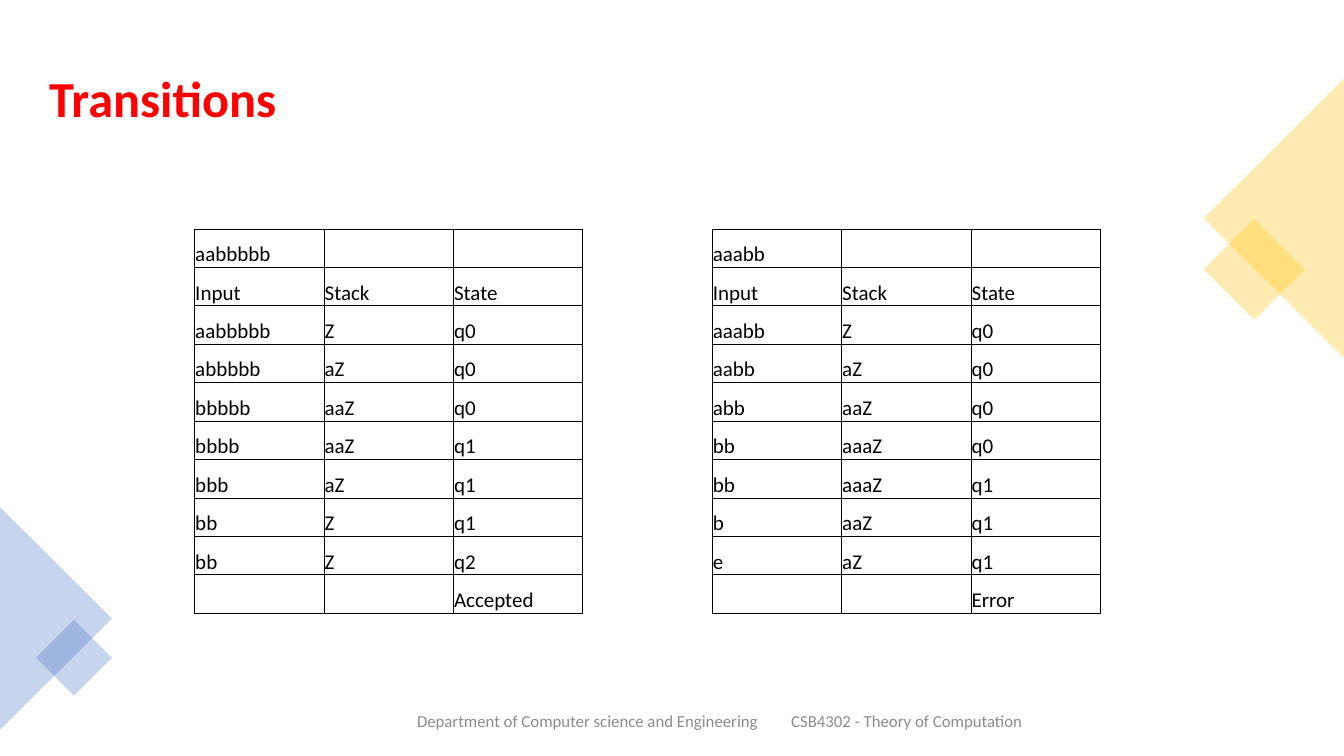
from dataclasses import dataclass

from lxml import etree
from pptx import Presentation
from pptx.dml.color import RGBColor
from pptx.enum.shapes import MSO_SHAPE
from pptx.enum.text import MSO_ANCHOR
from pptx.oxml.ns import qn
from pptx.util import Cm, Pt

RECT, TRIANGLE = MSO_SHAPE.RECTANGLE, MSO_SHAPE.ISOSCELES_TRIANGLE
MIDDLE, BOTTOM = MSO_ANCHOR.MIDDLE, MSO_ANCHOR.BOTTOM


@dataclass(frozen=True)
class Theme:
    """Fonts, sizes and colours of the slide."""
    font: str = "Calibri"
    title_size: int = 36
    cell_size: int = 15
    footer_size: int = 12
    title: str = "FF0000"
    text: str = "000000"
    footer: str = "8C8C8C"
    gold: str = "FFC000"
    blue: str = "4472C4"
    border_pt: float = 0.5
    opacity: int = 30


THEME = Theme()

ACCEPTED_RUN = [
    ("aabbbbb", "", ""), ("Input", "Stack", "State"),
    ("aabbbbb", "Z", "q0"), ("abbbbb", "aZ", "q0"), ("bbbbb", "aaZ", "q0"),
    ("bbbb", "aaZ", "q1"), ("bbb", "aZ", "q1"), ("bb", "Z", "q1"),
    ("bb", "Z", "q2"), ("", "", "Accepted"),
]
ERROR_RUN = [
    ("aaabb", "", ""), ("Input", "Stack", "State"),
    ("aaabb", "Z", "q0"), ("aabb", "aZ", "q0"), ("abb", "aaZ", "q0"),
    ("bb", "aaaZ", "q0"), ("bb", "aaaZ", "q1"), ("b", "aaZ", "q1"),
    ("e", "aZ", "q1"), ("", "", "Error"),
]


def set_attrs(obj, **values):
    """Set each named value on an object."""
    for name, value in values.items():
        setattr(obj, name, value)


def add_run(p, text, size, color, bold=False):
    """Add a formatted run to a paragraph."""
    r = p.add_run()
    r.text = text
    set_attrs(r.font, name=THEME.font, size=Pt(size), bold=bold)
    r.font.color.rgb = RGBColor.from_string(color)


def add_textbox(slide, box):
    """Add a wrapping, vertically centred text box and return its frame."""
    tf = slide.shapes.add_textbox(*map(Cm, box)).text_frame
    set_attrs(tf, word_wrap=True, vertical_anchor=MIDDLE)
    return tf


def add_title(slide, box, text):
    """Place the slide title in the box."""
    p = add_textbox(slide, box).paragraphs[0]
    p.line_spacing = 0.9
    add_run(p, text, THEME.title_size, THEME.title, bold=True)


def add_footer(slide, box, indent, tab, parts):
    """Place the footer parts in the box, separated by a tab stop."""
    tf = add_textbox(slide, box)
    tf.margin_left = Cm(indent)
    p = tf.paragraphs[0]
    p.space_after = Pt(6)
    tabs = etree.SubElement(p._p.get_or_add_pPr(), qn("a:tabLst"))
    etree.SubElement(tabs, qn("a:tab"), pos=str(Cm(tab)), algn="l")
    add_run(p, "\t".join(parts), THEME.footer_size, THEME.footer)


def add_tinted(slide, kind, box, rotation, color):
    """Add a rotated translucent shape without outline."""
    sp = slide.shapes.add_shape(kind, *map(Cm, box))
    sp.rotation = rotation
    sp.shadow.inherit = False
    sp.line.fill.background()
    sp.fill.solid()
    sp.fill.fore_color.rgb = RGBColor.from_string(color)
    clr = sp._element.spPr.find(qn("a:solidFill"))[0]
    etree.SubElement(clr, qn("a:alpha"), val=str(THEME.opacity * 1000))


def add_edge_triangle(slide, box, rotation, color):
    """Fill the box with a triangle turned towards the slide centre."""
    left, top, width, height = box
    shift = (width - height) / 2
    turned = (left + shift, top - shift, height, width)
    add_tinted(slide, TRIANGLE, turned, rotation, color)


def add_diamond(slide, box, dx, dy, size, color):
    """Add a diamond at an offset from the corner of the box."""
    add_tinted(slide, RECT, (box[0] + dx, box[1] + dy, size, size), 45, color)


def set_borders(cell, sides):
    """Draw the given sides of a cell and clear the others."""
    tcPr = cell._tc.get_or_add_tcPr()
    for i, side in enumerate("LRTB"):
        ln = etree.Element(qn(f"a:ln{side}"), w=str(Pt(THEME.border_pt)))
        if side in sides:
            fill = etree.SubElement(ln, qn("a:solidFill"))
            etree.SubElement(fill, qn("a:srgbClr"), val=THEME.text)
        else:
            etree.SubElement(ln, qn("a:noFill"))
        tcPr.insert(i, ln)


def add_transitions(slide, box, left_run, right_run):
    """Place both runs in one table with an open column between them."""
    rows = [(*a, None, *b) for a, b in zip(left_run, right_run)]
    n_rows, n_cols = len(rows), len(rows[0])
    table = slide.shapes.add_table(n_rows, n_cols, *map(Cm, box)).table
    set_attrs(table, first_row=False, horz_banding=False)
    for col in table.columns:
        col.width = Cm(box[2] / n_cols)
    for row, values in zip(table.rows, rows):
        row.height = Cm(box[3] / n_rows)
        for cell, value in zip(row.cells, values):
            set_attrs(cell, vertical_anchor=BOTTOM, margin_left=Cm(0.02),
                      margin_right=Cm(0.02), margin_top=Cm(0.02), margin_bottom=0)
            cell.fill.background()
            set_borders(cell, "LR" if value is None else "LRTB")
            if value:
                add_run(cell.text_frame.paragraphs[0], value,
                        THEME.cell_size, THEME.text)


def build_slide(prs):
    """Build the transitions slide."""
    slide = prs.slides.add_slide(prs.slide_layouts[6])
    gold_box = (30.34, 1.98, 3.53, 7.04)
    blue_box = (0, 12.78, 2.82, 5.61)
    add_title(slide, (0.99, 0.97, 30.3, 3.15), "Transitions")
    add_diamond(slide, gold_box, 0.37, 3.91, 1.8, THEME.gold)
    add_edge_triangle(slide, gold_box, 270, THEME.gold)
    add_edge_triangle(slide, blue_box, 90, THEME.blue)
    add_diamond(slide, blue_box, 1.19, 3.12, 1.35, THEME.blue)
    add_footer(slide, (5.97, 17.65, 24.36, 1.02), 4.54, 9.43,
               ("Department of Computer science and Engineering",
                "CSB4302 - Theory of Computation"))
    add_transitions(slide, (4.9, 5.77, 22.83, 9.68), ACCEPTED_RUN, ERROR_RUN)


def main():
    """Create and save the presentation."""
    prs = Presentation()
    set_attrs(prs, slide_width=Cm(33.87), slide_height=Cm(19.05))
    build_slide(prs)
    prs.save("out.pptx")


if __name__ == "__main__":
    main()
